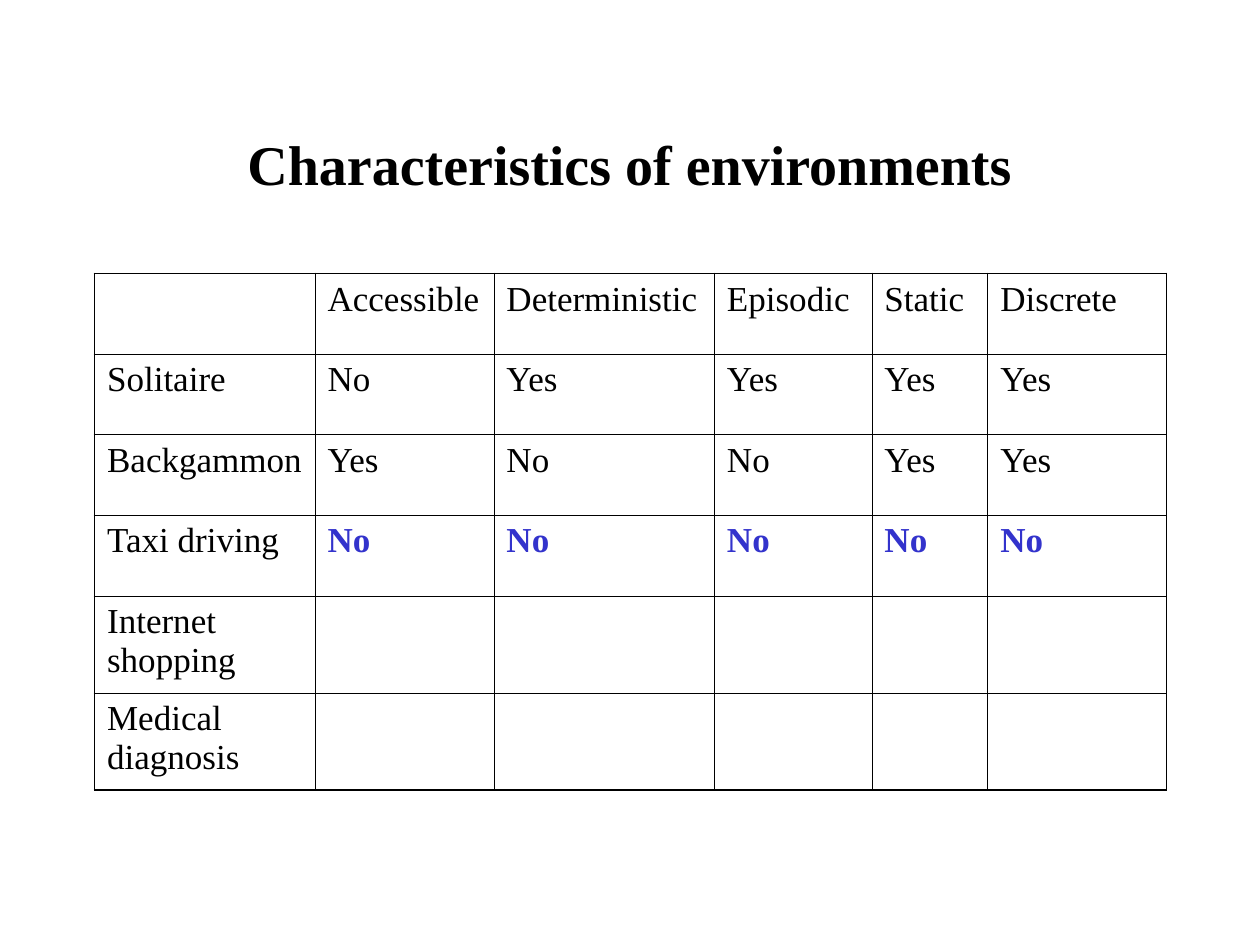
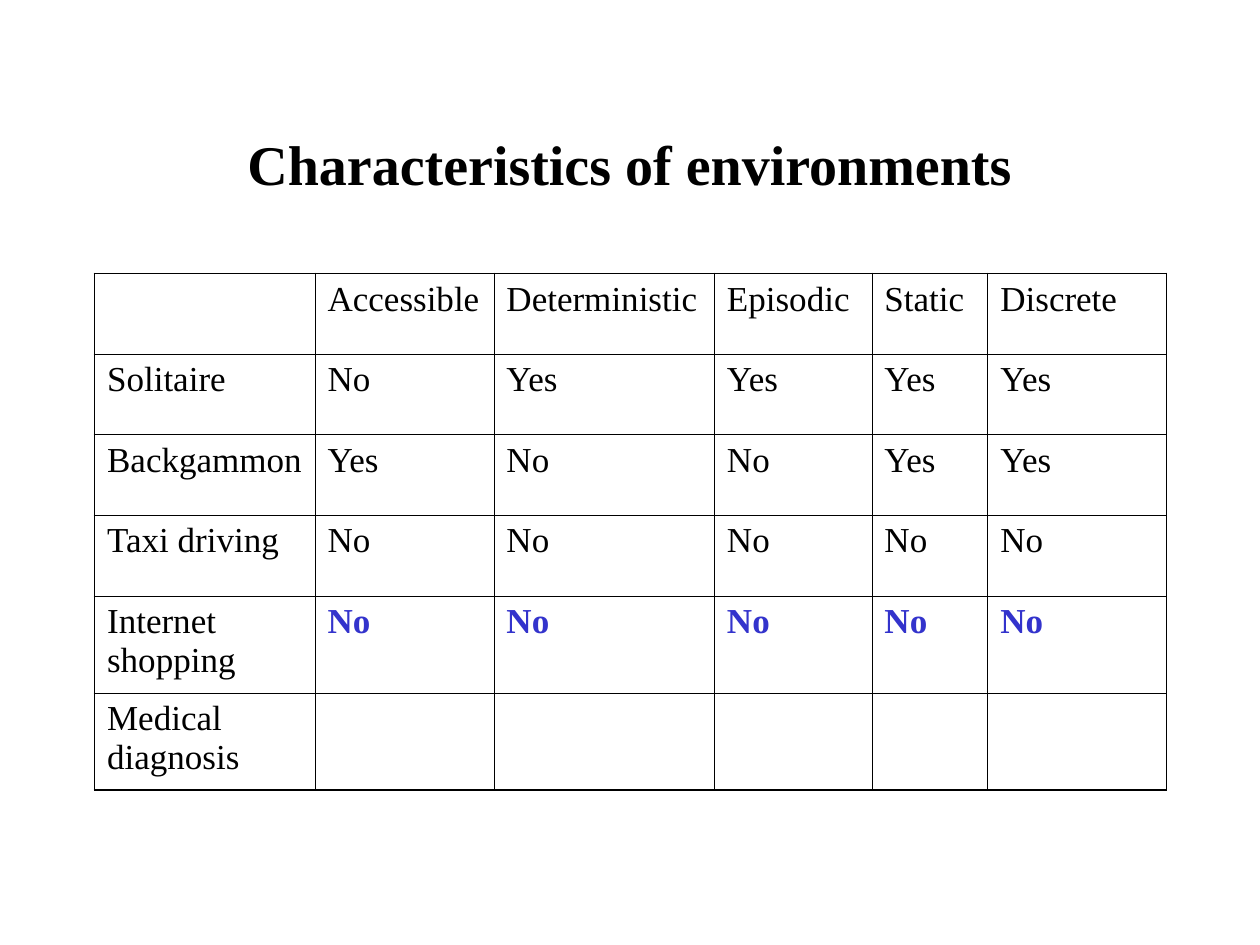
"""Build two slides that fill in a table of environment characteristics."""
from dataclasses import dataclass

from lxml.etree import SubElement
from pptx import Presentation
from pptx.dml.color import RGBColor
from pptx.enum.text import MSO_ANCHOR, PP_ALIGN
from pptx.oxml.ns import qn
from pptx.util import Inches, Pt


@dataclass(frozen=True)
class Theme:
    font: str = "Times New Roman"
    ink: str = "000000"
    answer: str = "3333CC"
    title_size: int = 32
    cell_size: int = 20
    inner_line: float = 0.45
    outer_line: float = 1.08


THEME = Theme()
TITLE = "Characteristics of environments"
HEADERS = ["", "Accessible", "Deterministic", "Episodic", "Static", "Discrete"]
ENVIRONMENTS = [
    ["Solitaire", "No", "Yes", "Yes", "Yes", "Yes"],
    ["Backgammon", "Yes", "No", "No", "Yes", "Yes"],
    ["Taxi driving"] + ["No"] * 5,
    ["Internet shopping"] + ["No"] * 5,
    ["Medical diagnosis"] + [""] * 5,
]
GRID = [HEADERS] + ENVIRONMENTS
COL_WIDTHS = [1.75, 1.42, 1.75, 1.25, 0.92, 1.42]
ROW_HEIGHTS = [0.64] * 4 + [0.77] * 2
ANSWER_ROWS = [3, 4]


def set_font(p, size, color=THEME.ink, bold=False):
    p.font.name = THEME.font
    p.font.size = Pt(size)
    p.font.bold = bold
    p.font.color.rgb = RGBColor.from_string(color)


def set_borders(cell, outer_sides):
    tcPr = cell._tc.get_or_add_tcPr()
    for side in "LRTB":
        width = THEME.outer_line if side in outer_sides else THEME.inner_line
        ln = SubElement(tcPr, qn(f"a:ln{side}"), w=str(Pt(width)))
        fill = SubElement(ln, qn("a:solidFill"))
        SubElement(fill, qn("a:srgbClr"), val=THEME.ink)


prs = Presentation()
prs.slide_width, prs.slide_height = Inches(10), Inches(7.5)

for answer_row in ANSWER_ROWS:
    s = prs.slides.add_slide(prs.slide_layouts[6])
    title = s.shapes.add_textbox(Inches(0.75), Inches(0.67), Inches(8.5), Inches(1.25))
    tf = title.text_frame
    tf.word_wrap = True
    tf.vertical_anchor = MSO_ANCHOR.MIDDLE
    p = tf.paragraphs[0]
    p.text = TITLE
    p.alignment = PP_ALIGN.CENTER
    set_font(p, THEME.title_size, bold=True)

    frame = s.shapes.add_table(len(GRID), len(HEADERS), Inches(0.75), Inches(2.17),
                               Inches(8.5), Inches(4.1))
    table = frame.table
    table.first_row = table.horz_banding = False
    for column, width in zip(table.columns, COL_WIDTHS):
        column.width = Inches(width)
    for row, height in zip(table.rows, ROW_HEIGHTS):
        row.height = Inches(height)

    for i, values in enumerate(GRID):
        for j, value in enumerate(values):
            cell = table.cell(i, j)
            p = cell.text_frame.paragraphs[0]
            if j == 0 or i <= answer_row:
                p.text = value
            p.space_before = Pt(5)
            is_answer = i == answer_row and j > 0
            set_font(p, THEME.cell_size, THEME.answer if is_answer else THEME.ink, is_answer)
            edges = {"L": j == 0, "R": j == len(HEADERS) - 1,
                     "T": i == 0, "B": i == len(GRID) - 1}
            set_borders(cell, [side for side, outer in edges.items() if outer])
            cell.fill.background()

prs.save("out.pptx")
